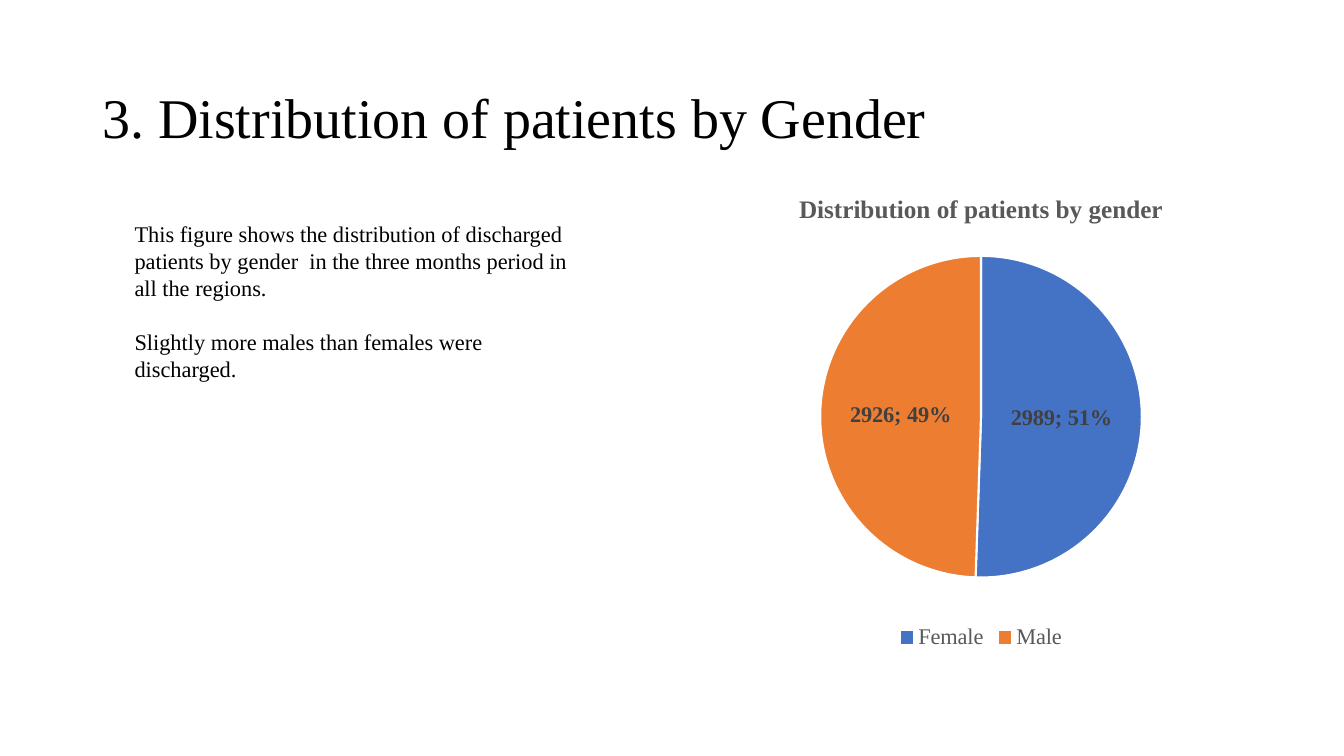
import pptx
import pptx.chart.data
import pptx.dml.color
import pptx.enum.chart
import pptx.enum.text
import pptx.oxml
import pptx.oxml.ns
import pptx.util

Pt = pptx.util.Pt
RGBColor = pptx.dml.color.RGBColor

BLACK = RGBColor(0x00, 0x00, 0x00)
WHITE = RGBColor(0xFF, 0xFF, 0xFF)
GREY = RGBColor(0x59, 0x59, 0x59)
DARK_GREY = RGBColor(0x40, 0x40, 0x40)
BLUE = RGBColor(0x44, 0x72, 0xC4)
ORANGE = RGBColor(0xED, 0x7D, 0x31)
SERIF = "Times New Roman"


def set_font(font, size, color, bold=False):
    font.name = SERIF
    font.size = Pt(size)
    font.bold = bold
    font.color.rgb = color


def add_run(p, text, size, color, bold=False):
    r = p.add_run()
    r.text = text
    set_font(r.font, size, color, bold)


def add_title(slide, left, top, width, height):
    sp = slide.shapes.title
    sp.left, sp.top, sp.width, sp.height = Pt(left), Pt(top), Pt(width), Pt(height)
    tf = sp.text_frame
    tf.vertical_anchor = pptx.enum.text.MSO_ANCHOR.TOP
    p = tf.paragraphs[0]
    p.alignment = pptx.enum.text.PP_ALIGN.LEFT
    add_run(p, "3. Distribution of patients by Gender", 40, BLACK)


def add_comment(slide, left, top, width, height):
    sp = slide.shapes.add_textbox(Pt(left), Pt(top), Pt(width), Pt(height))
    tf = sp.text_frame
    tf.word_wrap = True
    add_run(tf.paragraphs[0], "This figure shows the distribution of discharged patients "
            "by gender  in the three months period in all the regions.", 16, BLACK)
    p = tf.add_paragraph()
    p.space_before = Pt(19.2)
    add_run(p, "Slightly more males than females were discharged.", 16, BLACK)


def set_plot_area(chart, x, y, w, h):
    """Fix the inner plot area, in fractions of the chart."""
    ns = pptx.oxml.ns.nsdecls("c")
    layout = pptx.oxml.parse_xml(
        f'<c:layout {ns}><c:manualLayout><c:layoutTarget val="inner"/>'
        f'<c:xMode val="edge"/><c:yMode val="edge"/><c:x val="{x}"/><c:y val="{y}"/>'
        f'<c:w val="{w}"/><c:h val="{h}"/></c:manualLayout></c:layout>')
    plot_area = chart.plots[0]._element.getparent()
    for old in plot_area.findall(pptx.oxml.ns.qn("c:layout")):
        plot_area.remove(old)
    plot_area.insert(0, layout)


def add_gender_pie(slide, left, top, width, height):
    data = pptx.chart.data.CategoryChartData()
    data.categories = ["Female", "Male"]
    data.add_series("Series 1", (2989, 2926))
    chart = slide.shapes.add_chart(
        pptx.enum.chart.XL_CHART_TYPE.PIE,
        Pt(left), Pt(top), Pt(width), Pt(height), data).chart
    set_font(chart.font, 16, GREY)

    # Heading and legend
    chart.has_title = True
    p = chart.chart_title.text_frame.paragraphs[0]
    add_run(p, "Distribution of patients by gender", 18, GREY, True)
    chart.has_legend = True
    chart.legend.position = pptx.enum.chart.XL_LEGEND_POSITION.BOTTOM
    chart.legend.include_in_layout = False
    set_font(chart.legend.font, 16, GREY)

    # Slices
    plot = chart.plots[0]
    plot.vary_by_categories = True
    for i, color in enumerate((BLUE, ORANGE)):
        fmt = plot.series[0].points[i].format
        fmt.fill.solid()
        fmt.fill.fore_color.rgb = color
        fmt.line.color.rgb = WHITE
        fmt.line.width = Pt(1.5)

    # Labels with count and share
    labels = plot.series[0].data_labels
    set_font(labels.font, 16, DARK_GREY, True)
    labels.show_value = True
    labels.show_percentage = True
    labels.show_category_name = False
    labels.show_legend_key = False
    labels.position = pptx.enum.chart.XL_LABEL_POSITION.CENTER
    separator = pptx.oxml.parse_xml(
        f'<c:separator {pptx.oxml.ns.nsdecls("c")}>; </c:separator>')
    labels._element.find(pptx.oxml.ns.qn("c:showBubbleSize")).addnext(separator)

    set_plot_area(chart, 0.03, 0.17, 0.94, 0.67)


def main():
    prs = pptx.Presentation()
    prs.slide_width, prs.slide_height = Pt(960), Pt(540)
    slide = prs.slides.add_slide(prs.slide_layouts[5])
    add_title(slide, 66, 55, 828, 69)
    add_comment(slide, 89, 154, 339, 143)
    add_gender_pie(slide, 441.5, 124.5, 518.5, 343)
    prs.save("out.pptx")


if __name__ == "__main__":
    main()
